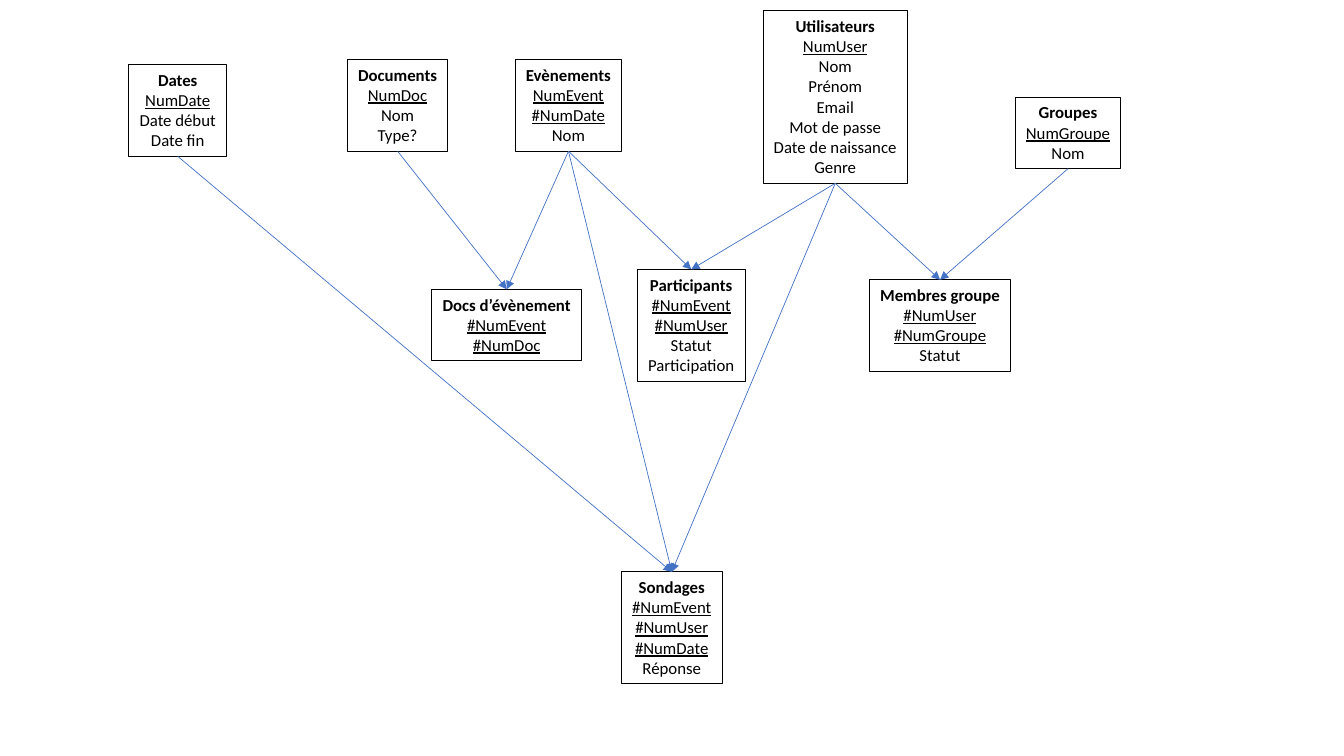
from dataclasses import dataclass

from lxml import etree
from pptx import Presentation
from pptx.dml.color import RGBColor
from pptx.enum.shapes import MSO_CONNECTOR
from pptx.enum.text import MSO_AUTO_SIZE, PP_ALIGN
from pptx.oxml.ns import qn
from pptx.shapes.autoshape import Shape
from pptx.slide import Slide
from pptx.util import Cm, Pt

COLOURS = {"ink": "000000", "link": "4472C4"}
FONT = "Calibri"
ROW_HEIGHT, BOX_PADDING = 0.51, 0.27
TOP_SITE, BOTTOM_SITE = 0, 2


@dataclass(frozen=True)
class Entity:
    """A table of the data model; position and width in centimetres."""
    name: str
    left: float
    top: float
    width: float
    fields: tuple[str, ...]


@dataclass(frozen=True)
class Relation:
    """An arrow from a parent entity to the entity that refers to it."""
    parent: str
    child: str


ENTITIES = [
    Entity("Utilisateurs", 19.23, 0.27, 3.64,
           ("NumUser", "Nom", "Prénom", "Email", "Mot de passe",
            "Date de naissance", "Genre")),
    Entity("Evènements", 12.99, 1.5, 2.67, ("NumEvent", "#NumDate", "Nom")),
    Entity("Groupes", 25.59, 2.45, 2.65, ("NumGroupe", "Nom")),
    Entity("Documents", 8.75, 1.5, 2.54, ("NumDoc", "Nom", "Type?")),
    Entity("Membres groupe", 21.91, 7.05, 3.56,
           ("#NumUser", "#NumGroupe", "Statut")),
    Entity("Dates", 3.25, 1.63, 2.46, ("NumDate", "Date début", "Date fin")),
    Entity("Sondages", 15.66, 14.41, 2.54,
           ("#NumEvent", "#NumUser", "#NumDate", "Réponse")),
    Entity("Docs d’évènement", 10.88, 7.29, 3.78, ("#NumEvent", "#NumDoc")),
    Entity("Participants", 16.06, 6.79, 2.72,
           ("#NumEvent", "#NumUser", "Statut", "Participation")),
]

RELATIONS = [
    Relation("Evènements", "Sondages"),
    Relation("Dates", "Sondages"),
    Relation("Utilisateurs", "Sondages"),
    Relation("Evènements", "Participants"),
    Relation("Utilisateurs", "Participants"),
    Relation("Groupes", "Membres groupe"),
    Relation("Utilisateurs", "Membres groupe"),
    Relation("Evènements", "Docs d’évènement"),
    Relation("Documents", "Docs d’évènement"),
]


def colour(key: str) -> RGBColor:
    """Look up a palette colour."""
    return RGBColor.from_string(COLOURS[key])


def draw_entity(slide: Slide, entity: Entity) -> Shape:
    """Draw a framed box with a bold name and underlined key fields."""
    rows = (entity.name, *entity.fields)
    height = ROW_HEIGHT * len(rows) + BOX_PADDING
    box = slide.shapes.add_textbox(
        Cm(entity.left), Cm(entity.top), Cm(entity.width), Cm(height))
    box.line.color.rgb = colour("ink")
    box.line.width = Pt(0.75)
    frame = box.text_frame
    frame.word_wrap = False
    frame.auto_size = MSO_AUTO_SIZE.SHAPE_TO_FIT_TEXT
    frame.text = "\n".join(rows)
    for index, paragraph in enumerate(frame.paragraphs):
        paragraph.alignment = PP_ALIGN.CENTER
        font = paragraph.runs[0].font
        font.name, font.size = FONT, Pt(12)
        font.color.rgb = colour("ink")
        font.bold = index == 0
        font.underline = rows[index].startswith(("Num", "#Num"))
    return box


def draw_relation(slide: Slide, parent: Shape, child: Shape) -> None:
    """Glue an arrow from the parent's bottom to the child's top."""
    arrow = slide.shapes.add_connector(
        MSO_CONNECTOR.STRAIGHT, parent.left, parent.top, child.left, child.top)
    arrow.begin_connect(parent, BOTTOM_SITE)
    arrow.end_connect(child, TOP_SITE)
    arrow.line.color.rgb = colour("link")
    arrow.line.width = Pt(0.5)
    properties = arrow.element.spPr
    etree.SubElement(properties.find(qn("a:ln")), qn("a:tailEnd"), type="triangle")
    etree.SubElement(properties, qn("a:effectLst"))


def main() -> None:
    """Build the data model slide."""
    presentation = Presentation()
    presentation.slide_width, presentation.slide_height = Cm(33.87), Cm(19.05)
    slide = presentation.slides.add_slide(presentation.slide_layouts[6])
    boxes = {entity.name: draw_entity(slide, entity) for entity in ENTITIES}
    for relation in RELATIONS:
        draw_relation(slide, boxes[relation.parent], boxes[relation.child])
    presentation.save("out.pptx")


main()
